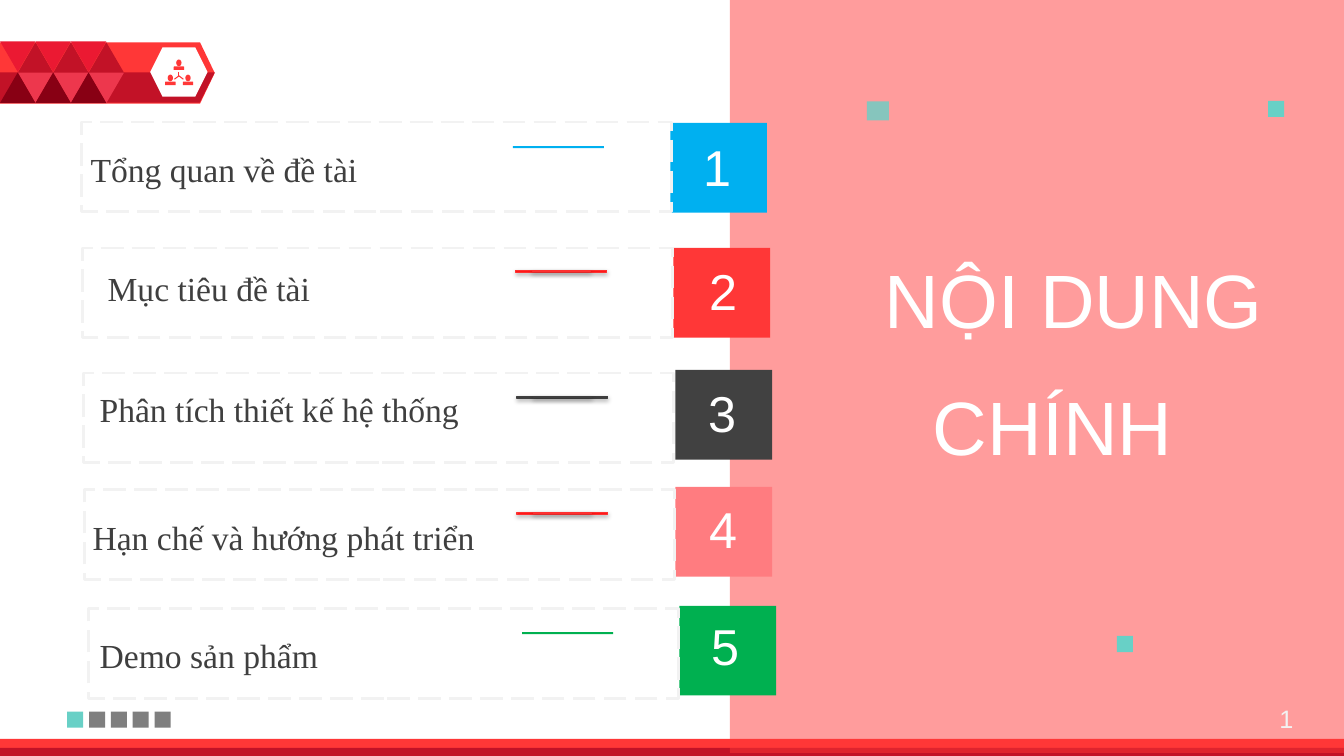
"""Build the agenda slide with five numbered topics beside a tinted title panel."""
from lxml import etree
from pptx import Presentation
from pptx import util as u
from pptx.dml import color
from pptx.enum import dml, shapes, text
from pptx.oxml import ns

Pt = u.Pt
KIND = shapes.MSO_SHAPE
ALIGN = text.PP_ALIGN
rgb = color.RGBColor.from_string

deck = Presentation()
deck.slide_width, deck.slide_height = Pt(960), Pt(540)
slide = deck.slides.add_slide(deck.slide_layouts[5])


def block(left, top, width, height, fill=None, kind=KIND.RECTANGLE, alpha=None,
          line=None, weight=0.75, dash=None, shadow=False):
    shape = slide.shapes.add_shape(kind, Pt(left), Pt(top), Pt(width), Pt(height))
    shape.shadow.inherit = False
    properties = shape._element.spPr
    if fill:
        shape.fill.solid()
        shape.fill.fore_color.rgb = rgb(fill)
    else:
        shape.fill.background()
    if alpha:
        tint = properties.find(".//" + ns.qn("a:srgbClr"))
        etree.SubElement(tint, ns.qn("a:alpha"), val=str(alpha * 1000))
    if line:
        shape.line.color.rgb = rgb(line)
        shape.line.width = Pt(weight)
        shape.line.dash_style = dash
    else:
        shape.line.fill.background()
    if shadow:
        effects = properties.find(ns.qn("a:effectLst"))
        cast = etree.SubElement(effects, ns.qn("a:outerShdw"), blurRad=str(Pt(3.1)),
                                dist=str(Pt(1.8)), dir="5400000", rotWithShape="0")
        shade = etree.SubElement(cast, ns.qn("a:srgbClr"), val="000000")
        etree.SubElement(shade, ns.qn("a:alpha"), val="35000")
    return shape


def write(words, left, top, width, height, size=24, font="Arial", ink="FFFFFF",
          align=ALIGN.LEFT, holder=None):
    holder = holder or slide.shapes.add_textbox(0, 0, 0, 0)
    holder.left, holder.top = Pt(left), Pt(top)
    holder.width, holder.height = Pt(width), Pt(height)
    frame = holder.text_frame
    frame.word_wrap = True
    frame.auto_size = text.MSO_AUTO_SIZE.NONE
    frame.vertical_anchor = text.MSO_ANCHOR.TOP
    frame.text = words
    paragraph = frame.paragraphs[0]
    paragraph.alignment = align
    style = paragraph.runs[0].font
    style.size, style.name = Pt(size), font
    style.color.rgb = rgb(ink)


ribbon = block(0, 30.2, 153.4, 43.9, "FF3737", KIND.PENTAGON)
ribbon.adjustments[0] = 0.24
outline = slide.shapes.build_freeform(Pt(0), Pt(51.8))
outline.add_line_segments([(Pt(153.4), Pt(51.8)), (Pt(142.6), Pt(73.4)), (Pt(0), Pt(73.4))])
ribbon_shade = outline.convert_to_shape()
ribbon_shade.shadow.inherit = False
ribbon_shade.fill.solid()
ribbon_shade.fill.fore_color.rgb = rgb("C21227")
ribbon_shade.line.fill.background()
badge = block(107.3, 33.8, 41, 35.3, "FFFFFF", KIND.HEXAGON)
badge.adjustments[0] = 0.25

for center, top in ((127.8, 42.5), (121.7, 53.3), (134.3, 53.3)):
    block(center - 1.9, top, 3.8, 4.8, "FF3737", KIND.OVAL)
    block(center - 3.7, top + 5, 7.4, 2.5, "FF3737", KIND.ROUND_2_SAME_RECTANGLE)
for end_x, end_y in ((127.8, 51.1), (124.6, 56.6), (131, 56.6)):
    spoke = slide.shapes.add_connector(shapes.MSO_CONNECTOR.STRAIGHT,
                                       Pt(127.8), Pt(54.2), Pt(end_x), Pt(end_y))
    spoke.line.color.rgb = rgb("FF3737")
    spoke.line.width = Pt(0.75)
    etree.SubElement(spoke._element.spPr, ns.qn("a:effectLst"))

for column in range(3):
    for shift, top, fill, turn in ((0, 29.5, "EB1932", 180), (12.7, 30.2, "C21227", 0),
                                   (12.7, 51.8, "ED374D", 180), (0, 51.8, "880014", 0)):
        facet = block(25.3 * column + shift, top, 25.3, 21.8, fill, KIND.ISOSCELES_TRIANGLE)
        facet.rotation = turn

block(0, 527.8, 960, 11.5, "FF3737")
block(0, 534.2, 960, 5.8, "C21227")
block(521.3, 0, 438.7, 537.8, "FF3737", alpha=49)

title = slide.shapes.title
slide.shapes._spTree.append(title._element)
write("NỘI DUNG", 429.1, 177.1, 480.2, 72.7, size=54, align=ALIGN.RIGHT, holder=title)
write("CHÍNH", 364.3, 267.8, 480.2, 72.7, size=54, align=ALIGN.RIGHT)

block(619.2, 72.4, 15.8, 13.7, "68D0C6", alpha=80)
for left, top in ((797.8, 454.3), (905.8, 72)):
    block(left, top, 11.5, 11.5, "68D0C6")
for step in range(5):
    block(48 + 15.6 * step, 508.3, 11.5, 11.5, "7F7F7F" if step else "68D0C6")
write("1", 888.5, 499, 42.5, 28.8, size=18, ink="F2F2F2", align=ALIGN.RIGHT)

topics = [
    ("Tổng quan về đề tài", "00B0F0", (478.8, 87.8), (487.4, 93.6), (57.6, 103),
     (398.9, 105.1), (58.3, 87.1), "00B0F0", None),
    ("Mục tiêu đề tài", "FF3737", (481, 177.1), (491.8, 182.2), (69.8, 187.9),
     (401, 193.7), (59, 177.1), "FF1818", "FD3030"),
    ("Phân tích thiết kế hệ thống", "414141", (482.4, 264.2), (491, 269.3), (64.1, 274.3),
     (401.8, 283.7), (59.8, 266.4), "3E3E3E", "3F3F3F"),
    ("Hạn chế và hướng phát triển", "FF7C80", (482.4, 347.8), (491.8, 352.1), (59, 365.8),
     (401.8, 366.5), (60.5, 349.9), "FF1818", "FD3030"),
    ("Demo sản phẩm", "00B050", (485.3, 432.7), (493.2, 435.6), (64.1, 450),
     (405.4, 452.2), (63.4, 434.9), "00B050", None),
]
for number, (topic, fill, tile, digit, label, dash_center, border, accent, edge) in enumerate(topics, 1):
    block(*tile, 69.1, 64.1, fill)
    write(str(number), *digit, 50.4, 51, size=36, align=ALIGN.CENTER)
    write(topic, *label, 382.3, 36, font="Times New Roman", ink="3F3F3F")
    center_x, center_y = dash_center
    for width, height in ((65, 1.4), (41.8, 0.7)):
        block(center_x - width / 2, center_y - height / 2, width, height, accent,
              line=edge, shadow=bool(edge))
    block(*border, 421.2, 64.1, line="F2F2F2", weight=2, dash=dml.MSO_LINE.LONG_DASH)

deck.save("out.pptx")
